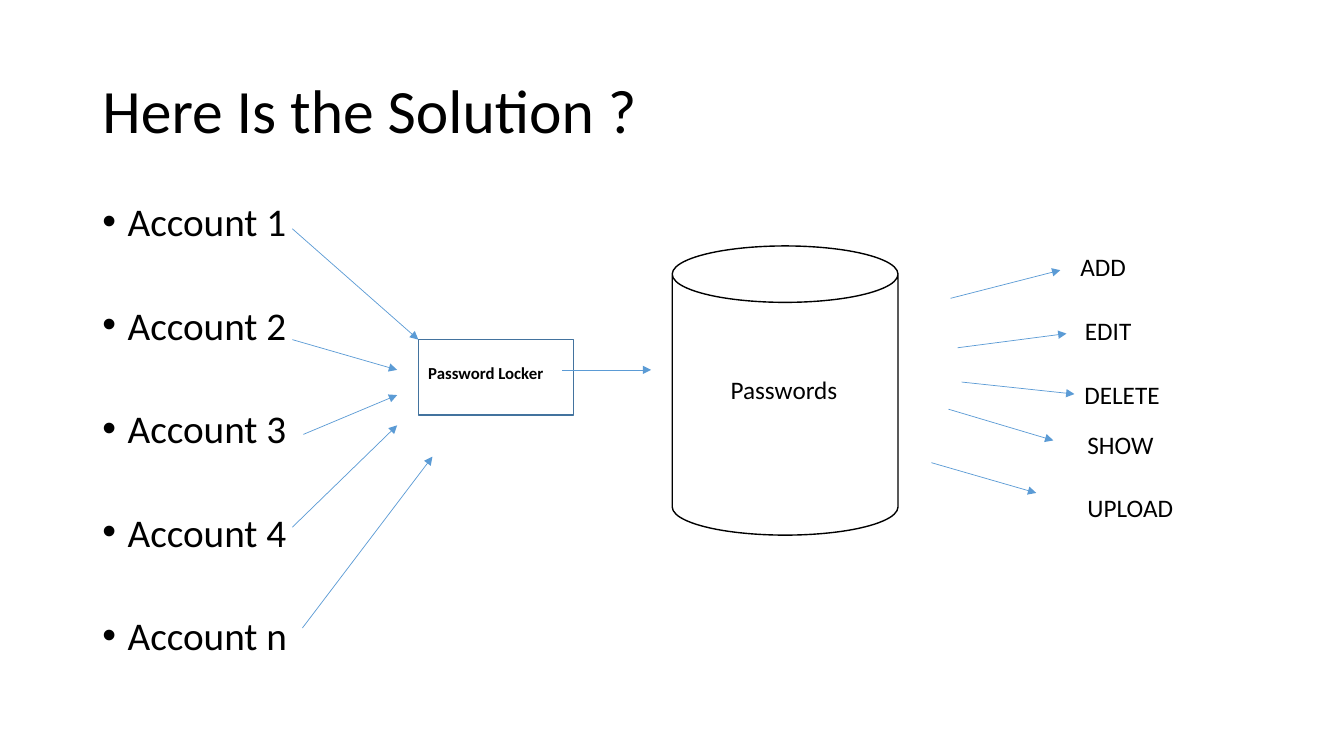
from lxml import etree
from pptx import Presentation
from pptx.dml.color import RGBColor
from pptx.enum import shapes, text
from pptx.oxml import ns
from pptx.util import Pt

BLACK = RGBColor(0x00, 0x00, 0x00)
BLUE = RGBColor(0x5B, 0x9B, 0xD5)
DARK_BLUE = RGBColor(0x43, 0x73, 0x9E)

ACCOUNTS = ["Account 1", "Account 2", "Account 3", "Account 4", "Account n"]
ACTIONS = [
    ("ADD", 764.6, 175.7, 47.5),
    ("EDIT", 767.9, 221.8, 48.2),
    ("DELETE", 767.5, 267.1, 69.1),
    ("SHOW", 769.7, 303.1, 61.9),
    ("UPLOAD", 769.7, 347.8, 76.3),
]
ACCOUNT_ARROWS = [
    (208.8, 163.4, 298.8, 242.6),
    (208.8, 242.6, 283.7, 264.2),
    (216.7, 310.3, 283.7, 282.2),
    (208.8, 376.6, 283.7, 303.8),
    (216, 448.6, 308.9, 326.2),
]
LOCKER_ARROW = (401.8, 264.2, 465.1, 264.2)
ACTION_ARROWS = [
    (679, 213.1, 757.4, 193),
    (684, 248.4, 761.8, 238.3),
    (686.9, 272.9, 767.5, 281.5),
    (677.5, 292.3, 752.4, 314.6),
    (665.3, 330.5, 740.2, 352.1),
]


def write(frame, lines, size=18, bold=False, spacing=None, before=0, after=0, indent=0):
    """Fill a text frame with one formatted paragraph per line."""
    for index, line in enumerate(lines):
        para = frame.add_paragraph() if index else frame.paragraphs[0]
        para.alignment = text.PP_ALIGN.LEFT
        para.line_spacing = spacing
        para.space_before, para.space_after = Pt(before), Pt(after)
        if indent:
            properties = para._p.get_or_add_pPr()
            properties.set("marL", str(Pt(indent)))
            properties.set("indent", str(Pt(-indent)))
        span = para.add_run()
        span.text = line
        span.font.name = "Calibri"
        span.font.size = Pt(size)
        span.font.bold = bold
        span.font.color.rgb = BLACK


def fill_placeholder(holder, bounds, lines, anchor, **style):
    """Move a placeholder and write its text."""
    holder.left, holder.top, holder.width, holder.height = map(Pt, bounds)
    holder.text_frame.auto_size = text.MSO_AUTO_SIZE.NONE
    holder.text_frame.vertical_anchor = anchor
    write(holder.text_frame, lines, **style)


def add_label(page, line, bounds, wrap=False, **style):
    """Add a text box holding one line."""
    box = page.shapes.add_textbox(*map(Pt, bounds))
    box.text_frame.word_wrap = wrap
    box.text_frame.auto_size = text.MSO_AUTO_SIZE.SHAPE_TO_FIT_TEXT
    write(box.text_frame, [line], **style)


def add_outline(page, kind, bounds, colour):
    """Add an unfilled shape with a one-point line."""
    shape = page.shapes.add_shape(kind, *map(Pt, bounds))
    shape.shadow.inherit = False
    shape.fill.background()
    shape.line.color.rgb = colour
    shape.line.width = Pt(1)


def add_arrow(page, ends):
    """Add a thin blue arrow between two points."""
    arrow = page.shapes.add_connector(shapes.MSO_CONNECTOR.STRAIGHT, *map(Pt, ends))
    arrow.line.color.rgb = BLUE
    arrow.line.width = Pt(0.5)
    etree.SubElement(arrow.line._get_or_add_ln(), ns.qn("a:tailEnd"), type="triangle")
    etree.SubElement(arrow._element.spPr, ns.qn("a:effectLst"))


def main():
    """Build the password locker slide and save it."""
    deck = Presentation()
    deck.slide_width, deck.slide_height = Pt(960), Pt(540)
    page = deck.slides.add_slide(deck.slide_layouts[1])

    fill_placeholder(page.shapes.title, (66, 28.8, 828, 104.4), ["Here Is the Solution ?"],
                     text.MSO_ANCHOR.MIDDLE, size=44, spacing=0.9)
    fill_placeholder(page.placeholders[1], (66, 144, 828, 342.7), ACCOUNTS,
                     text.MSO_ANCHOR.TOP, size=28, spacing=0.8, before=10, after=37, indent=18)

    add_outline(page, shapes.MSO_SHAPE.CAN, (480.2, 175.7, 161.3, 206.6), BLACK)
    add_outline(page, shapes.MSO_SHAPE.RECTANGLE, (298.8, 242.6, 110.9, 54), DARK_BLUE)
    add_label(page, "Password Locker", (298.8, 255.6, 107.3, 21.6), wrap=True, size=12, bold=True)
    add_label(page, "Passwords", (514.8, 264.2, 91.4, 28.8))

    for ends in [*ACCOUNT_ARROWS, LOCKER_ARROW, *ACTION_ARROWS]:
        add_arrow(page, ends)
    for action, left, top, width in ACTIONS:
        add_label(page, action, (left, top, width, 28.8))

    deck.save("out.pptx")


if __name__ == "__main__":
    main()
